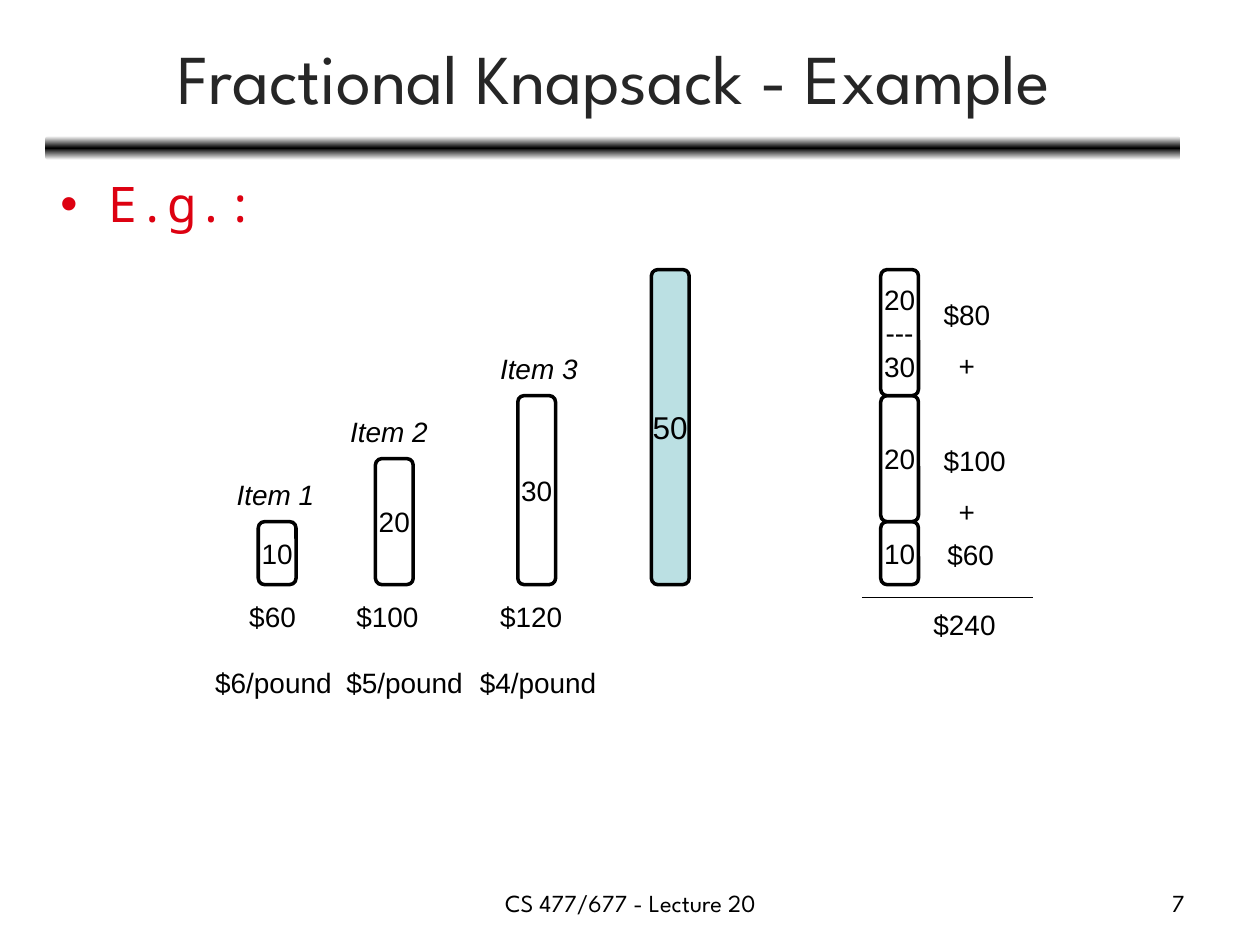
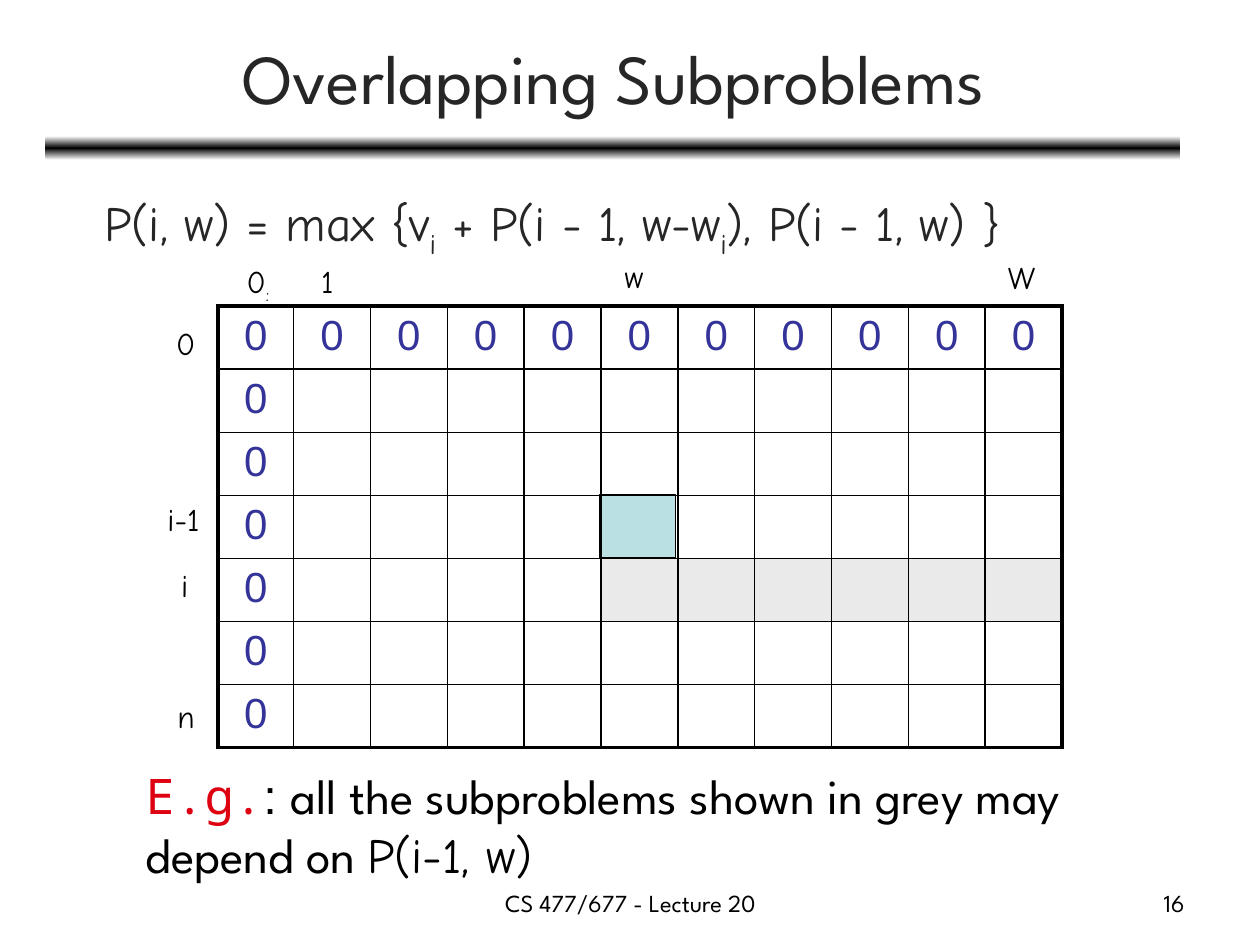
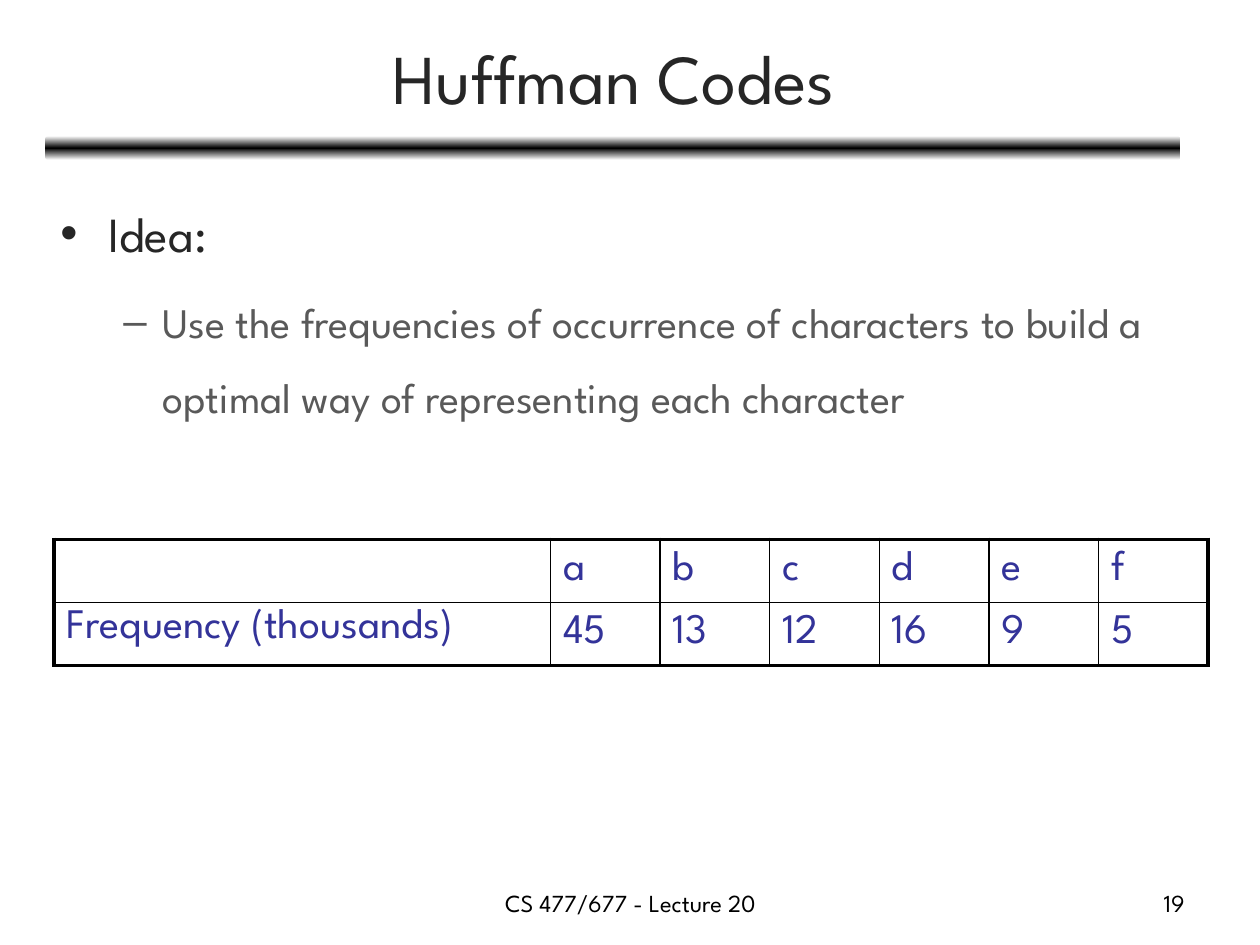
"""Three lecture slides on knapsack problems and Huffman codes."""
from lxml import etree
from pptx import Presentation
from pptx.dml.color import RGBColor
from pptx.enum.shapes import MSO_CONNECTOR, MSO_SHAPE
from pptx.enum.text import MSO_ANCHOR, MSO_AUTO_SIZE, PP_ALIGN
from pptx.oxml import parse_xml
from pptx.oxml.ns import nsdecls, qn
from pptx.util import Inches, Pt

LEFT, MID, RIGHT = PP_ALIGN.LEFT, PP_ALIGN.CENTER, PP_ALIGN.RIGHT
ROUND, RECT = MSO_SHAPE.ROUNDED_RECTANGLE, MSO_SHAPE.RECTANGLE
TOP, MIDDLE = MSO_ANCHOR.TOP, MSO_ANCHOR.MIDDLE
STRAIGHT = MSO_CONNECTOR.STRAIGHT
GROW, FIXED = MSO_AUTO_SIZE.SHAPE_TO_FIT_TEXT, MSO_AUTO_SIZE.NONE

SPARTAN, COMIC, ARIAL, MONO = "League Spartan", "Comic Neue", "Arial", "Noto Sans Mono"
BLACK, WHITE, DARK, GREY = "000000", "FFFFFF", "262626", "595959"
RED, BLUE, TEAL, PALE = "DD0111", "333399", "BBE0E3", "EAEAEA"

FOOTER = "CS 477/677 - Lecture 20"
TITLES = [("Fractional Knapsack - Example", 7),
          ("Overlapping Subproblems", 16),
          ("Huffman Codes", 19)]

ITEMS = [("Item 1", 10, 60, 2.05, 1.78, 1.88, 1.61),
         ("Item 2", 20, 100, 2.98, 2.68, 2.73, 2.65),
         ("Item 3", 30, 120, 4.11, 3.87, 3.87, 3.71)]
SACK = (50, 5.17)
STACK = [(10, ["10"]), (20, ["20"]), (20, ["20", "---", "30"])]
STACK_X = 6.99
SUMS = [(["$80", "+"], 7.39, 2.31), (["$100", "+"], 7.39, 3.47),
        (["$60"], 7.42, 4.22), (["$240"], 7.31, 4.77)]
BASE, UNIT, BAR = 4.64, 0.05, 0.3

RULE = [("P(i, w) = max {v", 0), ("i", -25), (" + P(i - 1, w-w", 0),
        ("i", -25), ("), P(i - 1, w) }", 0)]
MARKS = [("1", 2.45, 2.03, 0.31), ("w", 4.86, 1.99, 0.37), ("W", 7.9, 2, 0.46),
         ("0", 1.3, 2.52, 0.35), ("i-1", 1.23, 3.92, 0.49),
         ("i", 1.34, 4.44, 0.27), ("n", 1.31, 5.48, 0.33)]
ROWS, COLS = 7, 11
GRID = [["0" if 0 in (r, c) else "" for c in range(COLS)] for r in range(ROWS)]
SHADED = {(4, c) for c in range(5, COLS)}
NOTE = [("E.g.", MONO, RED), (": ", ARIAL, BLACK),
        ("all the subproblems shown in grey may depend on ", SPARTAN, BLACK),
        ("P(i-1, w)", COMIC, BLACK)]

IDEA = [("Idea:", "•", 28, DARK, 0.38, -0.38),
        ("Use the frequencies of occurrence of characters to build a optimal way"
         " of representing each character", "–", 24, GREY, 0.81, -0.31)]
FREQS = [["", "a", "b", "c", "d", "e", "f"],
         ["Frequency (thousands)", "45", "13", "12", "16", "9", "5"]]


def rgb(hue):
    """Turn a hex string into a colour."""
    return RGBColor.from_string(hue)


def put(par, text, font, size, hue=BLACK, base=0, slant=False):
    """Add one run to a paragraph."""
    run = par.add_run()
    run.text = text
    run.font.name, run.font.size = font, Pt(size)
    run.font.color.rgb = rgb(hue)
    if slant:
        run.font.italic = True
    if base:
        run.font._element.set("baseline", str(base * 1000))


def indent(par, left, first=0, mark=None):
    """Set a paragraph's indents and bullet."""
    props = par._p.get_or_add_pPr()
    props.set("marL", str(Inches(left)))
    props.set("indent", str(Inches(first)))
    if mark:
        etree.SubElement(props, qn("a:buChar")).set("char", mark)
    else:
        etree.SubElement(props, qn("a:buNone"))


def place(shape, x, y, w, h):
    """Move and size a shape in inches."""
    shape.left, shape.top = Inches(x), Inches(y)
    shape.width, shape.height = Inches(w), Inches(h)


def box(slide, x, y, w, h, wrap=False, align=LEFT):
    """Add a text box and return its first paragraph."""
    area = slide.shapes.add_textbox(Inches(x), Inches(y), Inches(w), Inches(h))
    frame = area.text_frame
    frame.word_wrap, frame.auto_size = wrap, GROW
    par = frame.paragraphs[0]
    par.alignment = align
    return par


def block(slide, kind, x, y, w, h, hue, line=None):
    """Add a filled preset shape."""
    shape = slide.shapes.add_shape(kind, Inches(x), Inches(y), Inches(w), Inches(h))
    shape.shadow.inherit = False
    shape.fill.solid()
    shape.fill.fore_color.rgb = rgb(hue)
    if line:
        shape.line.color.rgb = rgb(BLACK)
        shape.line.width = Pt(line)
    else:
        shape.line.fill.background()
    return shape


def band(slide):
    """Add the shaded band below the title."""
    shape = block(slide, ROUND, 0.36, 1.08, 9.01, 0.19, BLACK)
    shape.fill.gradient()
    shape.fill.gradient_angle = 270
    stops = shape._element.spPr.find(qn("a:gradFill")).find(qn("a:gsLst"))
    for stop in list(stops):
        stops.remove(stop)
    for share, hue in ((0, WHITE), (50, BLACK), (100, WHITE)):
        stops.append(parse_xml(f'<a:gs {nsdecls("a")} pos="{share * 1000}">'
                               f'<a:srgbClr val="{hue}"/></a:gs>'))


def start(deck, title, page):
    """Add a slide with its title, band and footer."""
    slide = deck.slides.add_slide(deck.slide_layouts[1])
    band(slide)
    place(slide.shapes.title, 0.37, 0.11, 9, 0.99)
    frame = slide.shapes.title.text_frame
    frame.auto_size, frame.vertical_anchor = FIXED, MIDDLE
    par = frame.paragraphs[0]
    par.alignment = MID
    put(par, title, SPARTAN, 40, DARK)
    put(box(slide, 3.42, 7, 3.17, 0.35, True, MID), FOOTER, SPARTAN, 14)
    put(box(slide, 7.17, 7, 2.33, 0.35, True, RIGHT), str(page), SPARTAN, 14)
    return slide


def body(slide, x, y, w, h):
    """Place the body and return its text frame."""
    holder = slide.placeholders[1]
    place(holder, x, y, w, h)
    frame = holder.text_frame
    frame.auto_size = FIXED
    frame.paragraphs[0].space_before = Pt(0)
    return frame


def bar(slide, x, foot, weight, lines, hue=WHITE, size=16):
    """Add a bar as tall as its weight and return its top."""
    tall = weight * UNIT
    shape = block(slide, ROUND, x, foot - tall, BAR, tall, hue, 2)
    frame = shape.text_frame
    frame.word_wrap, frame.vertical_anchor = False, MIDDLE
    for i, text in enumerate(lines):
        par = frame.add_paragraph() if i else frame.paragraphs[0]
        par.alignment = MID
        put(par, text, ARIAL, size)
    return foot - tall


def table(slide, x, y, widths, tall, data, font, align=LEFT, shaded=(), anchor=TOP):
    """Add a ruled table with a heavy outer frame."""
    rows, cols = len(data), len(data[0])
    grid = slide.shapes.add_table(rows, cols, Inches(x), Inches(y),
                                  Inches(sum(widths)), Inches(tall * rows)).table
    grid.first_row = grid.horz_banding = False
    for col, wide in zip(grid.columns, widths):
        col.width = Inches(wide)
    for r, line in enumerate(data):
        grid.rows[r].height = Inches(tall)
        for c, text in enumerate(line):
            cell = grid.cell(r, c)
            cell.vertical_anchor = anchor if c else TOP
            if (r, c) in shaded:
                cell.fill.solid()
                cell.fill.fore_color.rgb = rgb(PALE)
            else:
                cell.fill.background()
            if text:
                par = cell.text_frame.paragraphs[0]
                par.alignment = align
                put(par, text, font, 24, BLUE)
            edges = (("L", c == 0), ("R", c == cols - 1),
                     ("T", r == 0), ("B", r == rows - 1))
            for i, (side, outer) in enumerate(edges):
                cell._tc.get_or_add_tcPr().insert(i, parse_xml(
                    f'<a:ln{side} {nsdecls("a")} w="{Pt(2.25 if outer else 1)}">'
                    f'<a:solidFill><a:srgbClr val="{BLACK}"/></a:solidFill></a:ln{side}>'))


def knapsack(slide):
    """Fill the fractional knapsack slide."""
    par = body(slide, 0.38, 1.33, 9, 1.18).paragraphs[0]
    indent(par, 0.38, -0.38, "•")
    put(par, "E.g.:", MONO, 28, RED)
    for name, weight, price, x, name_x, price_x, rate_x in ITEMS:
        top = bar(slide, x, BASE, weight, [str(weight)])
        put(box(slide, name_x, top - 0.4, 0.82, 0.37), name, ARIAL, 16, slant=True)
        cost = f"${price}"
        put(box(slide, price_x, 4.71, 0.21 + 0.12 * len(cost), 0.37), cost, ARIAL, 16)
        rate = f"${price // weight}/pound"
        put(box(slide, rate_x, 5.23, 1.13, 0.37), rate, ARIAL, 16)
    weight, x = SACK
    bar(slide, x, BASE, weight, [str(weight)], TEAL, 18)
    foot = BASE
    for weight, lines in STACK:
        foot = bar(slide, STACK_X, foot, weight, lines)
    for (cost, *plus), x, y in SUMS:
        par = box(slide, x, y, 0.21 + 0.12 * len(cost), 0.77 if plus else 0.37)
        put(par, cost, ARIAL, 16)
        for sign in plus:
            more = slide.shapes[-1].text_frame.add_paragraph()
            indent(more, 0.12)
            more.space_before = Pt(10)
            put(more, sign, ARIAL, 16)
    line = slide.shapes.add_connector(STRAIGHT, Inches(6.84), Inches(4.74),
                                      Inches(8.2), Inches(4.74))
    line.line.color.rgb = rgb(BLACK)
    line.line.width = Pt(0.75)
    etree.SubElement(line._element.spPr, qn("a:effectLst"))


def overlap(slide):
    """Fill the overlapping subproblems slide."""
    par = body(slide, 0.35, 1.48, 9, 0.79).paragraphs[0]
    indent(par, 0.38)
    for text, base in RULE:
        put(par, text, COMIC, 28, DARK, base)
    block(slide, RECT, 4.76, 3.93, 0.6, 0.5, TEAL, 0.75)
    table(slide, 1.73, 2.43, [0.6] + [0.61] * (COLS - 1), 0.49, GRID, ARIAL, MID, SHADED)
    par = box(slide, 1.86, 2.03, 0.4, 0.4)
    put(par, "0", COMIC, 18)
    put(par, ":", COMIC, 18, base=-25)
    for text, x, y, wide in MARKS:
        put(box(slide, x, y, wide, 0.4), text, COMIC, 18)
    par = box(slide, 1.06, 6.03, 7.97, 1.03, True)
    for text, font, hue in NOTE:
        put(par, text, font, 28, hue)


def huffman(slide):
    """Fill the Huffman codes slide."""
    frame = body(slide, 0.38, 1.33, 9, 5.55)
    for i, (text, mark, size, hue, left, first) in enumerate(IDEA):
        par = frame.add_paragraph() if i else frame.paragraphs[0]
        par.level, par.line_spacing = i, 1.5
        par.space_before = Pt(5 * i)
        indent(par, left, first, mark)
        put(par, text, SPARTAN, size, hue)
    table(slide, 0.43, 4.28, [3.94] + [0.87] * 6, 0.45, FREQS, SPARTAN, anchor=MIDDLE)


def main():
    """Build and save the deck."""
    deck = Presentation()
    deck.slide_width, deck.slide_height = Inches(10), Inches(7.5)
    for (title, page), fill in zip(TITLES, (knapsack, overlap, huffman)):
        fill(start(deck, title, page))
    deck.save("out.pptx")


if __name__ == "__main__":
    main()
